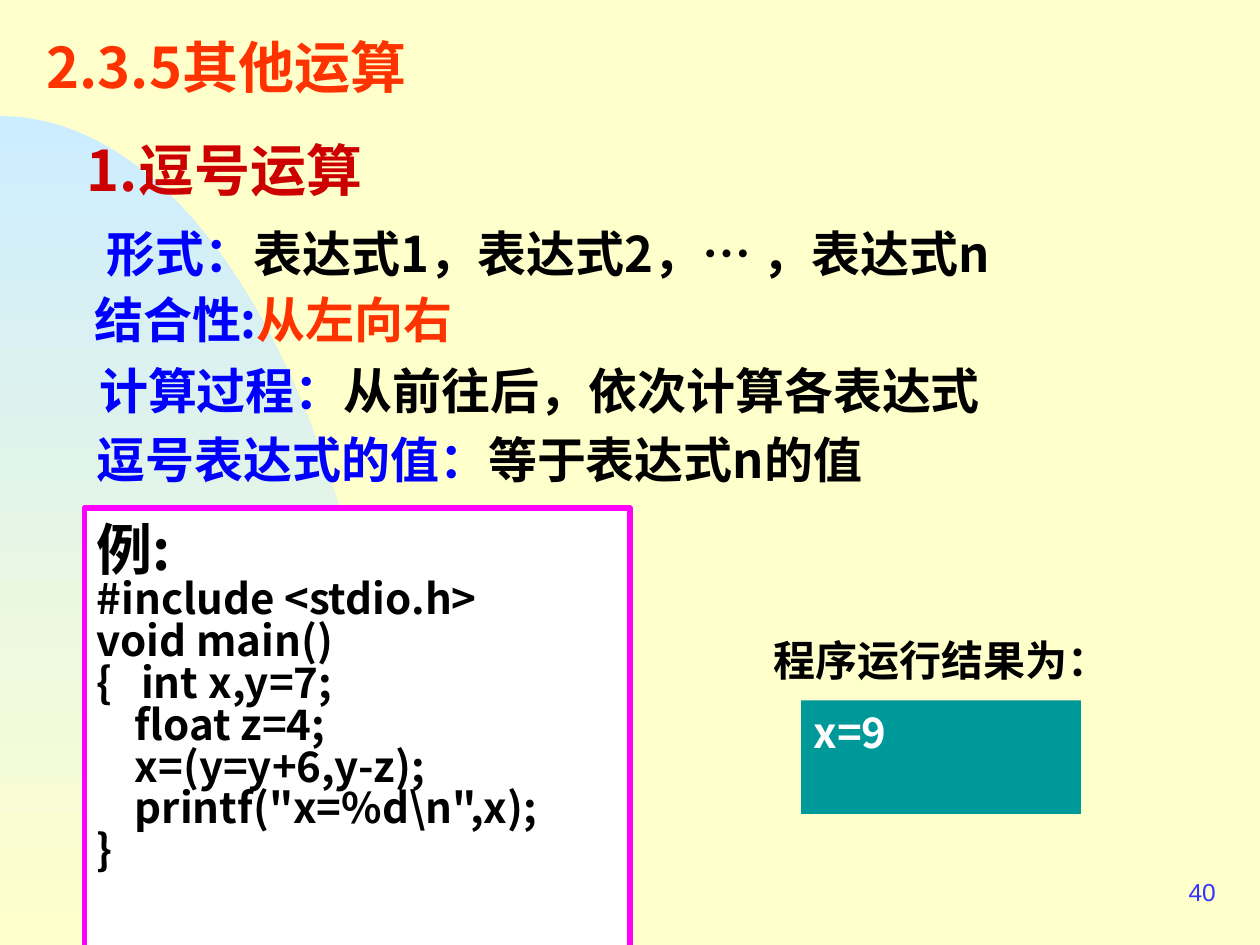
import pptx
import pptx.util
import pptx.dml.color
import pptx.enum.shapes
import pptx.enum.text
import pptx.oxml.ns
import lxml.etree

Cm, Pt = pptx.util.Cm, pptx.util.Pt
RGB = pptx.dml.color.RGBColor
ALIGN, ANCHOR = pptx.enum.text.PP_ALIGN, pptx.enum.text.MSO_ANCHOR

CREAM = RGB(0xFF, 0xFF, 0xCC)
SKY = RGB(0xCC, 0xEC, 0xFF)
BLUE = RGB(0x00, 0x00, 0xFF)
INDIGO = RGB(0x33, 0x33, 0xFF)
RED = RGB(0xCC, 0x00, 0x00)
ORANGE = RGB(0xFF, 0x33, 0x00)
BLACK = RGB(0x01, 0x00, 0x00)
WHITE = RGB(0xFF, 0xFF, 0xFF)
PINK = RGB(0xFF, 0x00, 0xFF)
TEAL = RGB(0x00, 0x99, 0x99)
SANS = "Noto Sans CJK SC"

RULES = [
    (1.9, 4.52, 0.9, [("形式：", BLUE, SANS), ("表达式1，表达式2，", BLACK, SANS),
                      ("… ", BLACK, "Courier New"), ("，表达式n", BLACK, SANS)]),
    (1.65, 5.72, 1, [("结合性:", BLUE, SANS), ("从左向右", ORANGE, SANS)]),
    (1.75, 7.14, 1, [("计算过程：", BLUE, SANS), ("从前往后，依次计算各表达式", BLACK, SANS)]),
    (1.7, 8.53, 1, [("逗号表达式的值：", BLUE, SANS), ("等于表达式n的值", BLACK, SANS)]),
]
CODE = r"""#include <stdio.h>
void main()
{   int x,y=7;
    float z=4;
    x=(y=y+6,y-z);
    printf("x=%d\n",x);
}""".split("\n")


def style(item, form):
    """Set each attribute named in the format."""
    for name, value in form.items():
        setattr(item, name, value)


def write(para, text, size, color, face=SANS, bold=True):
    """Add one run in the given face to a paragraph."""
    run = para.add_run()
    run.text = text
    style(run.font, {"name": face, "size": Pt(size), "bold": bold})
    run.font.color.rgb = color
    props = run.font._element
    east = lxml.etree.SubElement(props, pptx.oxml.ns.qn("a:ea"))
    east.set("typeface", SANS)


def frame(shape, anchor=ANCHOR.TOP):
    """Prepare the text frame of a shape and return it."""
    text = shape.text_frame
    style(text, {"word_wrap": True, "vertical_anchor": anchor})
    text.paragraphs[0].alignment = ALIGN.LEFT
    return text


def label(slide, box, runs, size, spacing=1, anchor=ANCHOR.TOP):
    """Place a one-line text made of coloured runs."""
    text = frame(slide.shapes.add_textbox(*map(Cm, box)), anchor)
    para = text.paragraphs[0]
    para.line_spacing = spacing
    for words, color, face in runs:
        write(para, words, size, color, face)
    return para


def panel(slide, box, fill):
    """Place a plain filled rectangle."""
    kind = pptx.enum.shapes.MSO_SHAPE.RECTANGLE
    shape = slide.shapes.add_shape(kind, *map(Cm, box))
    shape.shadow.inherit = False
    shape.fill.solid()
    shape.fill.fore_color.rgb = fill
    shape.line.fill.background()
    return shape


def arc(slide, box):
    """Draw the shaded quarter curve at the left edge."""
    left, top, width, height = box
    points = []
    for step in range(61):
        t = step / 60
        u = 1 - t
        across = 3 * u * u * t * 0.552 + 3 * u * t * t + t ** 3
        down = 3 * u * t * t * 0.448 + t ** 3
        points.append((Cm(left + width * across), Cm(top + height * down)))
    build = slide.shapes.build_freeform(*points[0])
    build.add_line_segments(points[1:] + [(Cm(left), Cm(top + height))], close=True)
    shape = build.convert_to_shape()
    shape.shadow.inherit = False
    shape.line.fill.background()
    shape.fill.gradient()
    shape.fill.gradient_angle = 270
    for stop, place, color in zip(shape.fill.gradient_stops, (0, 1), (SKY, CREAM)):
        stop.position = place
        stop.color.rgb = color


def rules(slide, box):
    """Place the four lines that explain the operator."""
    left, top, width, height = box
    for across, down, spacing, runs in RULES:
        spot = (across, down, left + width - across, height)
        label(slide, spot, runs, 28, spacing)


def sample(slide, box):
    """Place the framed code sample."""
    shape = panel(slide, box, WHITE)
    shape.line.color.rgb = PINK
    shape.line.width = Pt(3)
    text = frame(shape)
    write(text.paragraphs[0], "例:", 32, BLACK)
    for line in CODE:
        para = text.add_paragraph()
        style(para, {"alignment": ALIGN.LEFT, "line_spacing": 0.83})
        write(para, line, 24, BLACK)


def result(slide, box):
    """Place the caption and the panel with the program output."""
    left, top, width, height = box
    label(slide, (left, top, width, 1.27), [("程序运行结果为：", BLACK, SANS)], 24)
    shape = panel(slide, (left + 0.8, top + 1.45, 5.64, height - 1.45), TEAL)
    write(frame(shape).paragraphs[0], "x=9", 24, WHITE)


def number(slide, box):
    """Place the slide number."""
    text = frame(slide.shapes.add_textbox(*map(Cm, box)), ANCHOR.MIDDLE)
    para = text.paragraphs[0]
    para.alignment = ALIGN.RIGHT
    write(para, "40", 14, INDIGO, "Arial", False)


def main():
    """Build the slide and save it."""
    deck = pptx.Presentation()
    style(deck, {"slide_width": Cm(25.4), "slide_height": Cm(19.05)})
    slide = deck.slides.add_slide(deck.slide_layouts[6])
    slide.background.fill.solid()
    slide.background.fill.fore_color.rgb = CREAM
    arc(slide, (0, 2.34, 8.05, 16.71))
    label(slide, (0.69, 0.53, 9, 1.63), [("2.3.5其他运算", ORANGE, SANS)], 32)
    label(slide, (1.5, 2.51, 8.81, 1.8), [("1.逗号运算", RED, SANS)], 32,
          anchor=ANCHOR.MIDDLE)
    rules(slide, (1.65, 4.52, 20.65, 1.45))
    sample(slide, (1.7, 10.24, 11, 9.75))
    result(slide, (15.35, 12.67, 8.2, 3.74))
    number(slide, (19.48, 17.35, 5.28, 1.27))
    deck.save("out.pptx")


if __name__ == "__main__":
    main()
